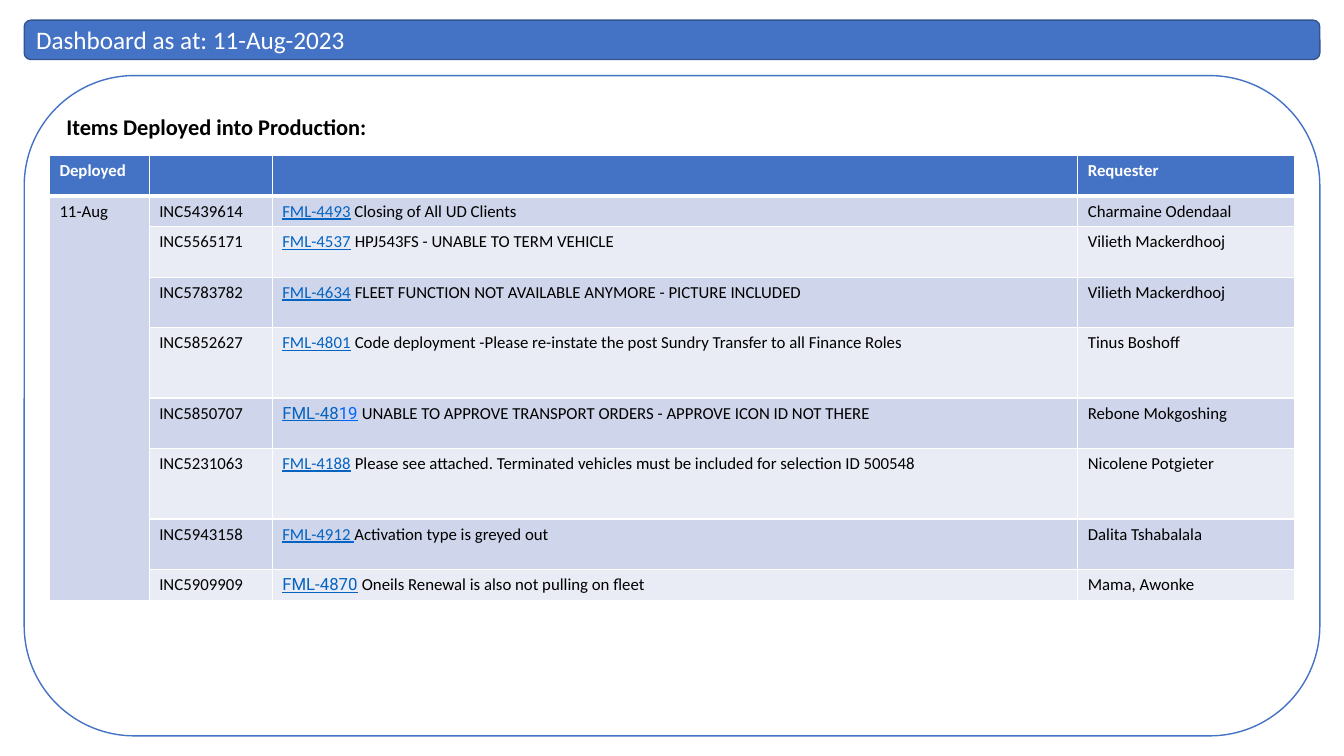
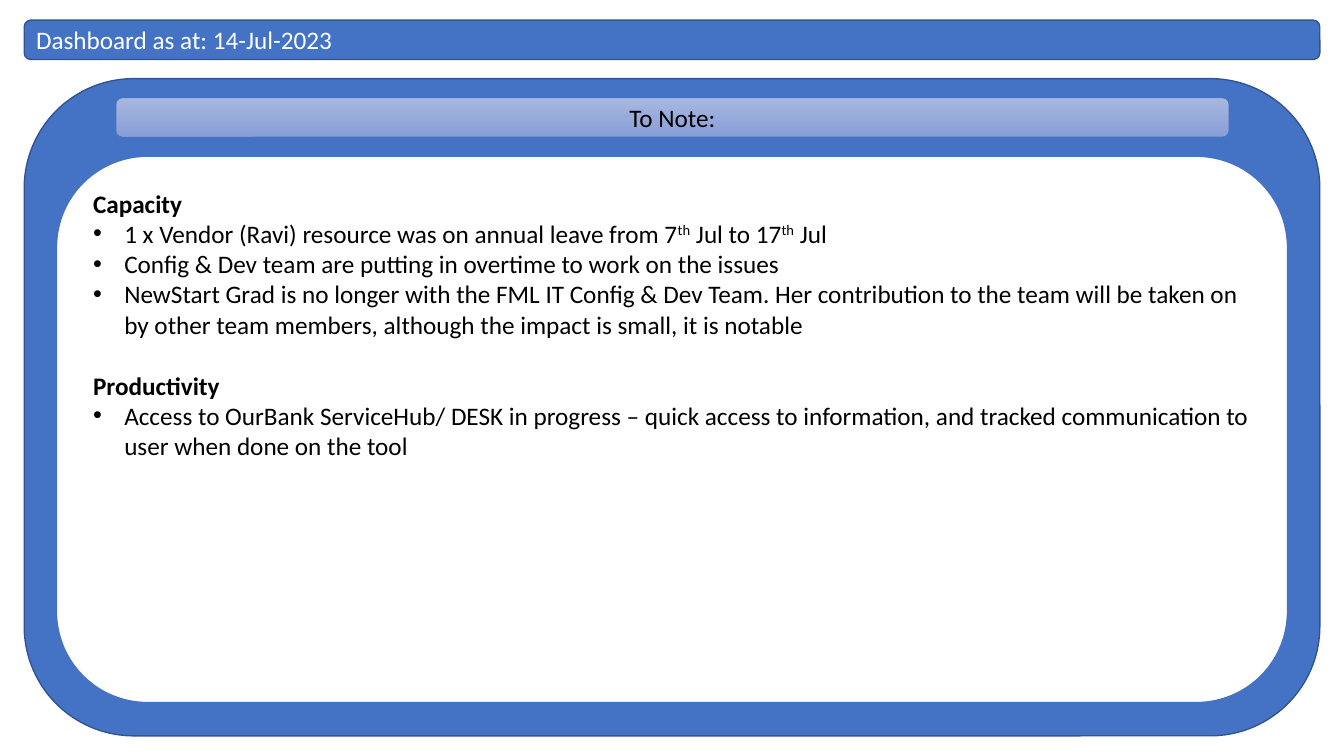
import pptx
import pptx.dml.color
import pptx.enum.shapes
import pptx.enum.text
import pptx.oxml.ns
import pptx.util
import lxml.etree

COLORS = {
    "blue": "4472C4", "outline": "325491", "white": "FFFFFF", "black": "000000",
    "link": "0563C1", "bright": "0065FF", "navy": "172B4D",
    "row_dark": "CFD5EA", "row_light": "E9EBF5",
    "label_top": "A8B7DF", "label_bottom": "889ED7",
}
EMU_PER_PX = 9144
FONT = "Calibri"
BOLD = {"bold": True}
RAISED = {"raised": True}
LINK = {"color": "link", "underline": True}
ROBOTO_LINK = {**LINK, "font": "Roboto"}
ROBOTO_BRIGHT = {**ROBOTO_LINK, "color": "bright"}
ROBOTO_GAP = {"color": "navy", "font": "Roboto"}


def px(length):
    return pptx.util.Emu(length * EMU_PER_PX)


def rgb(name):
    return pptx.dml.color.RGBColor.from_string(COLORS[name])


class Deck:
    def __init__(self):
        self.presentation = pptx.Presentation()
        self.presentation.slide_width = px(1333)
        self.presentation.slide_height = px(750)
        self.slide = None

    def start_slide(self, title):
        self.slide = self.presentation.slides.add_slide(self.presentation.slide_layouts[6])
        band = self.panel(24, 20, 1285, 39, "blue", "outline")
        self.add_text(band.text_frame, [([(title, {})], {})], 18, "white", "MIDDLE")

    def panel(self, left, top, width, height, fill, line, weight=1):
        shape = self.slide.shapes.add_shape(
            pptx.enum.shapes.MSO_SHAPE.ROUNDED_RECTANGLE,
            px(left), px(top), px(width), px(height))
        shape.shadow.inherit = False
        if isinstance(fill, tuple):
            shape.fill.gradient()
            shape.fill.gradient_angle = 270
            for stop, name in zip(shape.fill.gradient_stops, fill):
                stop.color.rgb = rgb(name)
        else:
            shape.fill.solid()
            shape.fill.fore_color.rgb = rgb(fill)
        shape.line.color.rgb = rgb(line)
        shape.line.width = pptx.util.Pt(weight)
        return shape

    def add_text(self, frame, paragraphs, size, color="black", anchor="TOP", align="LEFT"):
        frame.word_wrap = True
        frame.vertical_anchor = pptx.enum.text.MSO_ANCHOR[anchor]
        for index, (runs, layout) in enumerate(paragraphs):
            paragraph = frame.add_paragraph() if index else frame.paragraphs[0]
            paragraph.alignment = pptx.enum.text.PP_ALIGN[align]
            if "before" in layout:
                paragraph.space_before = pptx.util.Pt(layout["before"])
            if layout.get("bullet"):
                self.bullet(paragraph)
            for text, style in runs:
                self.add_run(paragraph, text, size, color, style)

    def add_run(self, paragraph, text, size, color, style):
        run = paragraph.add_run()
        run.text = text
        run.font.name = style.get("font", FONT)
        run.font.size = pptx.util.Pt(size)
        run.font.bold = style.get("bold", False)
        run.font.underline = style.get("underline", False)
        run.font.color.rgb = rgb(style.get("color", color))
        if style.get("raised"):
            run.font._element.set("baseline", "30000")

    def bullet(self, paragraph):
        properties = paragraph._p.get_or_add_pPr()
        properties.set("marL", str(px(31)))
        properties.set("indent", str(-px(31)))
        for tag, key, value in (("a:buFont", "typeface", "Arial"), ("a:buChar", "char", "•")):
            lxml.etree.SubElement(properties, pptx.oxml.ns.qn(tag)).set(key, value)

    def table(self, left, top, widths, heights):
        table = self.slide.shapes.add_table(
            len(heights), len(widths), px(left), px(top),
            px(sum(widths)), px(sum(heights))).table
        for column, width in zip(table.columns, widths):
            column.width = px(width)
        for row, height in zip(table.rows, heights):
            row.height = px(height)
        return table

    def cell(self, cell, runs, fill, color="black", bottom=1):
        properties = cell._tc.get_or_add_tcPr()
        for side, weight in (("L", 1), ("R", 1), ("T", 1), ("B", bottom)):
            line = lxml.etree.SubElement(properties, pptx.oxml.ns.qn("a:ln" + side))
            line.set("w", str(pptx.util.Pt(weight)))
            solid = lxml.etree.SubElement(line, pptx.oxml.ns.qn("a:solidFill"))
            lxml.etree.SubElement(solid, pptx.oxml.ns.qn("a:srgbClr")).set("val", COLORS["white"])
        cell.fill.solid()
        cell.fill.fore_color.rgb = rgb(fill)
        if runs:
            self.add_text(cell.text_frame, [(runs, {})], 12, color)


ITEMS = [
    (30, "INC5439614", [("FML-4493", LINK), (" Closing of All UD Clients", {})],
     "Charmaine Odendaal"),
    (50, "INC5565171", [("FML-4537", LINK), (" ", ROBOTO_GAP),
                        ("HPJ543FS - UNABLE TO TERM VEHICLE", {})],
     "Vilieth Mackerdhooj"),
    (50, "INC5783782", [("FML-4634", LINK), (" ", ROBOTO_GAP),
                        ("FLEET FUNCTION NOT AVAILABLE ANYMORE - PICTURE INCLUDED", {})],
     "Vilieth Mackerdhooj"),
    (70, "INC5852627", [("FML-4801", LINK), (" ", ROBOTO_GAP),
                        ("Code deployment -Please re-instate the post Sundry Transfer "
                         "to all Finance Roles", {})],
     "Tinus Boshoff"),
    (50, "INC5850707", [("FML-48", ROBOTO_LINK), ("19", ROBOTO_BRIGHT), (" ", ROBOTO_GAP),
                        ("UNABLE TO APPROVE TRANSPORT ORDERS - APPROVE ICON ID NOT THERE", {})],
     "Rebone Mokgoshing"),
    (70, "INC5231063", [("FML-4188", LINK), (" ", ROBOTO_GAP),
                        ("Please see attached. Terminated vehicles must be included "
                         "for selection ID 500548", {})],
     "Nicolene Potgieter"),
    (50, "INC5943158", [("FML-4912", LINK), (" ", {**LINK, "color": "bright"}),
                        ("Activation type is greyed out", {})],
     "Dalita Tshabalala"),
    (31, "INC5909909", [("FML-4870", ROBOTO_LINK), (" ", ROBOTO_GAP),
                        ("Oneils Renewal is also not pulling on fleet", {})],
     "Mama, Awonke"),
]

BULLET = {"bullet": True}
NOTES = [
    ([("Capacity", BOLD)], {}),
    ([("1 x Vendor (Ravi) resource was on annual leave from 7", {}), ("th", RAISED),
      (" Jul to 17", {}), ("th", RAISED), (" Jul", {})], BULLET),
    ([("Config & Dev team are putting in overtime to work on the issues", {})], BULLET),
    ([("NewStart Grad is no longer with the FML IT Config & Dev Team. Her contribution to the "
       "team will be taken on by other team members, although the impact is small, "
       "it is notable", {})], BULLET),
    ([("Productivity", BOLD)], {"before": 22}),
    ([("Access to OurBank ServiceHub/ DESK in progress – quick access to information, and "
       "tracked communication to user when done on the tool", {})], BULLET),
]


def build_deployed_slide(deck):
    deck.start_slide("Dashboard as at: 11-Aug-2023")
    panel = deck.panel(24, 75, 1285, 655, "white", "blue")
    deck.add_text(panel.text_frame, [([("Items Deployed into Production:", BOLD)], {})], 16)
    table = deck.table(49, 154, [99, 122, 799, 215], [31] + [item[0] for item in ITEMS])
    for column, heading in enumerate(["Deployed", "", "", "Requester"]):
        runs = [(heading, BOLD)] if heading else []
        deck.cell(table.cell(0, column), runs, "blue", "white", 3)
    table.cell(1, 0).merge(table.cell(len(ITEMS), 0))
    for row, (_, incident, summary, requester) in enumerate(ITEMS, 1):
        fill = "row_dark" if row % 2 else "row_light"
        date = [("11-Aug", {})] if row == 1 else []
        deck.cell(table.cell(row, 0), date, "row_dark")
        for column, runs in enumerate([[(incident, {})], summary, [(requester, {})]], 1):
            deck.cell(table.cell(row, column), runs, fill)


def build_notes_slide(deck):
    deck.start_slide("Dashboard as at: 14-Jul-2023")
    deck.panel(24, 78, 1285, 652, "blue", "outline")
    label = deck.panel(115, 97, 1104, 39, ("label_top", "label_bottom"), "blue", 0.5)
    deck.add_text(label.text_frame, [([("To Note:", {})], {})], 18,
                  anchor="MIDDLE", align="CENTER")
    body = deck.panel(56, 155, 1221, 542, "white", "blue")
    deck.add_text(body.text_frame, NOTES, 18)


def main():
    deck = Deck()
    build_deployed_slide(deck)
    build_notes_slide(deck)
    deck.presentation.save("out.pptx")


if __name__ == "__main__":
    main()
